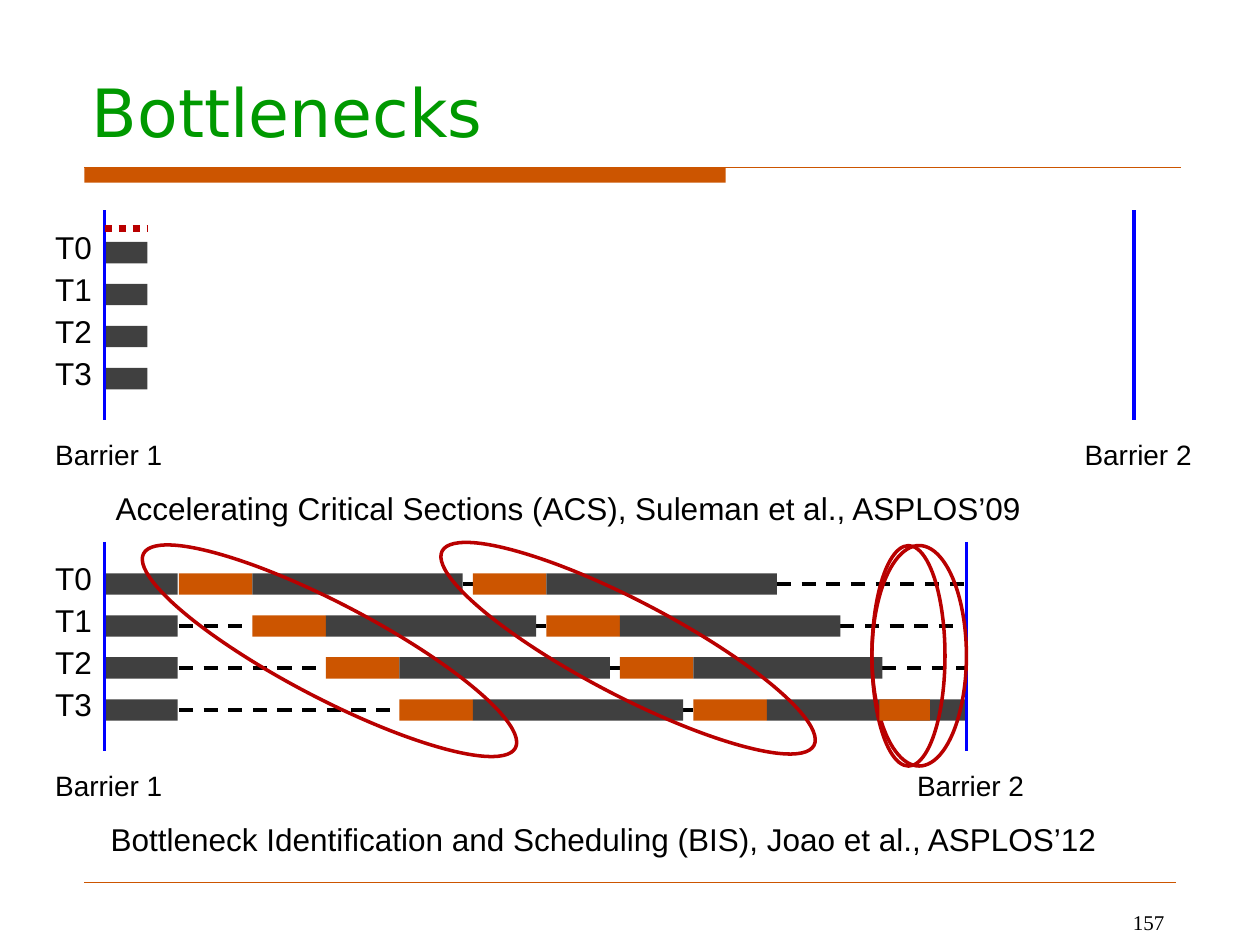
from pptx import Presentation
from pptx.dml.color import RGBColor
from pptx.enum.dml import MSO_LINE
from pptx.enum.shapes import MSO_CONNECTOR, MSO_SHAPE
from pptx.enum.text import MSO_ANCHOR, MSO_AUTO_SIZE, PP_ALIGN
from pptx.oxml.ns import qn
from lxml.etree import SubElement
from pptx.util import Inches, Pt

BLACK = RGBColor(0x00, 0x00, 0x00)
GRAY = RGBColor(0x40, 0x40, 0x40)
ORANGE = RGBColor(0xCC, 0x55, 0x00)
GREEN = RGBColor(0x00, 0x99, 0x00)
BLUE = RGBColor(0x00, 0x00, 0xFF)
RED = RGBColor(0xB9, 0x00, 0x00)

THREADS = 4
ROW_STEP = 1 / 3
BAR_HEIGHT = 0.17
START = 0.83
CRITICAL = 7 / 12
FIRST_CRITICAL = 1.42
PARALLEL = 1.67
ROUND = 7 / 3
FINISH = 7.67
SECOND_PARALLEL = [1.83, 1.75, 1.5, 1.58]


class SlideBuilder:
    """Holds the style and the current slide, and draws each kind of element."""

    def __init__(self, page):
        self.page = page

    def style(self, text_frame, size, font, color, align=PP_ALIGN.LEFT):
        for para in text_frame.paragraphs:
            para.alignment = align
            for span in para.runs:
                span.font.size = Pt(size)
                span.font.name = font
                span.font.color.rgb = color

    def title(self, text):
        box = self.page.shapes.title
        box.left, box.top = Inches(0.63), Inches(0.33)
        box.width, box.height = Inches(8.75), Inches(0.92)
        frame = box.text_frame
        frame.text = text
        frame.vertical_anchor = MSO_ANCHOR.BOTTOM
        self.style(frame, 38, "DejaVu Sans", GREEN)

    def label(self, text, left, top, width, height=0.4, size=18):
        box = self.page.shapes.add_textbox(Inches(left), Inches(top), Inches(width), Inches(height))
        frame = box.text_frame
        frame.word_wrap = False
        frame.auto_size = MSO_AUTO_SIZE.SHAPE_TO_FIT_TEXT
        frame.text = text
        self.style(frame, size, "Arial", BLACK)

    def page_number(self, text):
        box = self.page.shapes.add_textbox(Inches(7.17), Inches(7.17), Inches(2.17), Inches(0.18))
        frame = box.text_frame
        frame.word_wrap = True
        frame.text = text
        self.style(frame, 12, "Times New Roman", BLACK, PP_ALIGN.RIGHT)

    def bar(self, left, top, width, color, height=BAR_HEIGHT):
        shape = self.page.shapes.add_shape(
            MSO_SHAPE.RECTANGLE, Inches(left), Inches(top), Inches(width), Inches(height))
        shape.shadow.inherit = False
        shape.fill.solid()
        shape.fill.fore_color.rgb = color
        shape.line.fill.background()

    def ellipse(self, left, top, width, height, rotation=0):
        shape = self.page.shapes.add_shape(
            MSO_SHAPE.OVAL, Inches(left), Inches(top), Inches(width), Inches(height))
        shape.shadow.inherit = False
        shape.fill.background()
        shape.line.color.rgb = RED
        shape.line.width = Pt(2)
        shape.rotation = rotation

    def line(self, x1, y1, x2, y2, color, width=2, dash=None):
        connector = self.page.shapes.add_connector(
            MSO_CONNECTOR.STRAIGHT, Inches(x1), Inches(y1), Inches(x2), Inches(y2))
        connector.line.color.rgb = color
        connector.line.width = Pt(width)
        if dash is not None:
            connector.line.dash_style = dash
        SubElement(connector._element.spPr, qn("a:effectLst"))

    def wait(self, x1, x2, row_top):
        middle = row_top + BAR_HEIGHT / 2
        self.line(x1, middle, x2, middle, BLACK, dash=MSO_LINE.DASH)

    def timeline_frame(self, top, end, first_width):
        for row in range(THREADS):
            row_top = top + row * ROW_STEP
            self.bar(START, row_top + 0.25, first_width, GRAY)
            self.label(f"T{row}", 0.34, row_top + 0.09, 0.5)
        for number, x in enumerate((START, end), start=1):
            self.line(x, top, x, top + 1.66, BLUE)
            self.label(f"Barrier {number}", x - 0.49, top + 1.75, 1.06, 0.37, 16)

    def thread_rounds(self, top):
        for row, last_width in enumerate(SECOND_PARALLEL):
            row_top = top + row * ROW_STEP
            first = FIRST_CRITICAL + row * CRITICAL
            second = first + ROUND
            end = second + CRITICAL + last_width
            if row > 0:
                self.wait(FIRST_CRITICAL, first, row_top)
            self.wait(first + CRITICAL + PARALLEL, second, row_top)
            if row < THREADS - 1:
                self.wait(end, FINISH, row_top)
            for left, width in ((first, PARALLEL), (second, last_width)):
                self.bar(left, row_top, CRITICAL, ORANGE)
                self.bar(left + CRITICAL, row_top, width, GRAY)


def main():
    deck = Presentation()
    deck.slide_width, deck.slide_height = Inches(10), Inches(7.5)
    slide = SlideBuilder(deck.slides.add_slide(deck.slide_layouts[5]))

    slide.bar(0.67, 1.33, 5.09, ORANGE, 0.12)
    slide.line(0.67, 1.33, 9.37, 1.33, ORANGE, 0.75)
    slide.line(0.67, 7, 9.33, 7, ORANGE, 0.25)
    slide.title("Bottlenecks")

    slide.timeline_frame(1.67, 9, 0.34)
    slide.line(START, 1.81, 1.17, 1.81, RED, 4, MSO_LINE.ROUND_DOT)
    slide.label("Accelerating Critical Sections (ACS), Suleman et al., ASPLOS’09", 0.82, 3.83, 7.45)

    slide.thread_rounds(4.55)
    slide.timeline_frame(4.3, FINISH, 0.58)
    slide.label("Bottleneck Identification and Scheduling (BIS), Joao et al., ASPLOS’12", 0.78, 6.46, 8.1)

    for left, top in ((0.95, 4.79), (3.32, 4.77)):
        slide.ellipse(left, top, 3.33, 0.75, 27.6)
    for width in (0.75, 0.58):
        slide.ellipse(6.92, 4.33, width, 1.75)
    slide.bar(6.98, 5.55, 0.4, ORANGE)
    slide.page_number("157")

    deck.save("out.pptx")


if __name__ == "__main__":
    main()
